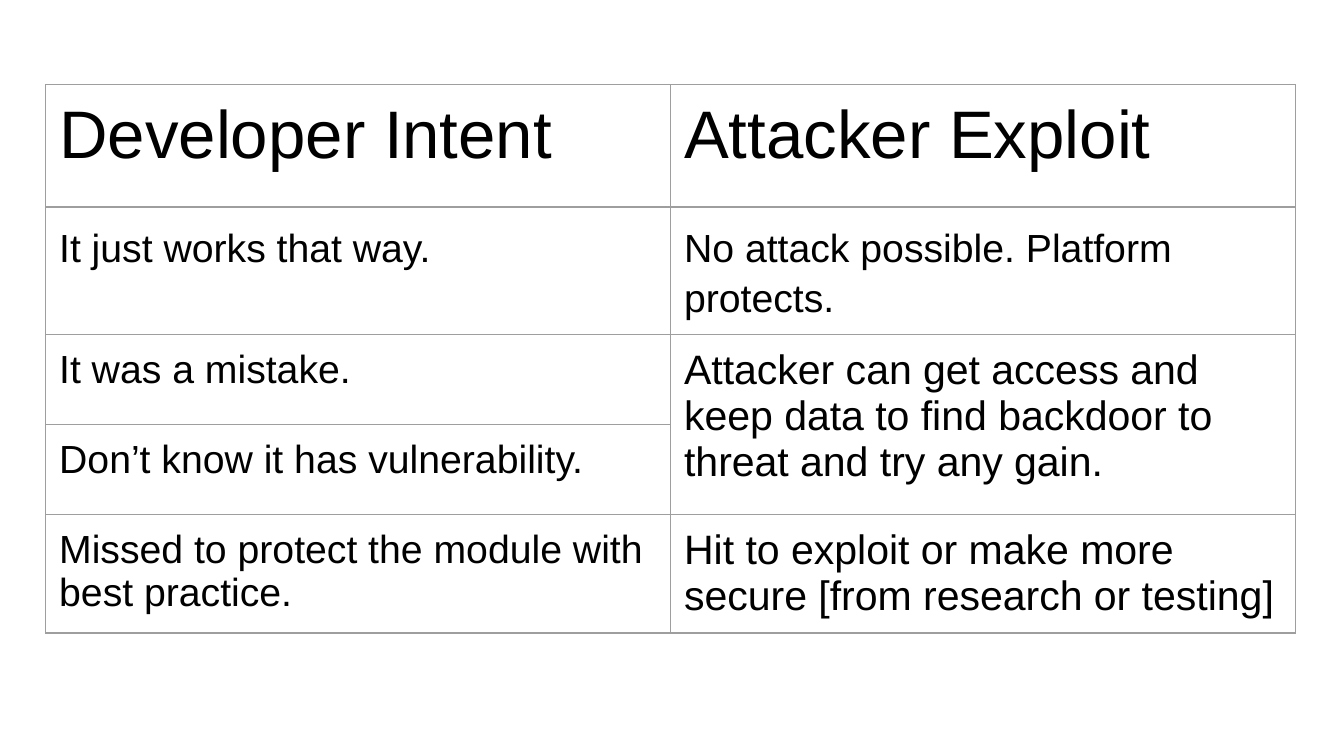
from dataclasses import dataclass

from lxml.etree import SubElement
from pptx import Presentation
from pptx.dml.color import RGBColor as Color
from pptx.oxml.ns import qn
from pptx.util import Inches, Pt


@dataclass(frozen=True)
class Theme:
    font: str = "Arial"
    ink: str = "000000"
    rule: str = "9E9E9E"
    rule_width: float = 0.75
    heading: int = 36
    body: int = 21
    answer: int = 22
    padding: float = 0.1


class PageBuilder:
    def __init__(self, deck, theme):
        self.theme = theme
        self.page = deck.slides.add_slide(deck.slide_layouts[6])

    def table(self, left, top, widths, heights):
        frame = self.page.shapes.add_table(
            len(heights), len(widths), Inches(left), Inches(top),
            Inches(sum(widths)), Inches(sum(heights)))
        table = frame.table
        table.first_row = table.horz_banding = False
        for column, width in zip(table.columns, widths):
            column.width = Inches(width)
        for row, height in zip(table.rows, heights):
            row.height = Inches(height)
        for cell in table.iter_cells():
            self.borders(cell)
            cell.fill.background()
        return table

    def borders(self, cell):
        properties = cell._tc.get_or_add_tcPr()
        for side in ("a:lnL", "a:lnR", "a:lnT", "a:lnB"):
            line = SubElement(properties, qn(side), w=str(Pt(self.theme.rule_width)))
            fill = SubElement(line, qn("a:solidFill"))
            SubElement(fill, qn("a:srgbClr"), val=self.theme.rule)

    def cell_text(self, cell, text, size, para_format):
        for side in ("left", "right", "top", "bottom"):
            setattr(cell, f"margin_{side}", Inches(self.theme.padding))
        para = cell.text_frame.paragraphs[0]
        for name, value in para_format.items():
            setattr(para, name, value)
        span = para.add_run()
        span.text = text
        for name, value in {"name": self.theme.font, "size": Pt(size)}.items():
            setattr(span.font, name, value)
        span.font.color.rgb = Color.from_string(self.theme.ink)


def main():
    # Widescreen page, 16 to 9
    deck = Presentation()
    deck.slide_width, deck.slide_height = Inches(10), Inches(10 * 9 / 16)
    theme = Theme()
    builder = PageBuilder(deck, theme)

    # Each row: height, text sizes of both columns, paragraph format, texts
    heading = (theme.heading, theme.heading)
    opening = (theme.body, theme.body)
    paired = (theme.body, theme.answer)
    spaced = {"line_spacing": 1.15, "space_after": Pt(12)}
    rows = [
        (0.91, heading, {}, ("Developer Intent", "Attacker Exploit")),
        (0.34, opening, spaced, ("It just works that way.",
                                 "No attack possible. Platform protects.")),
        (0.67, paired, {}, ("It was a mistake.",
                            "Attacker can get access and keep data to find "
                            "backdoor to threat and try any gain.")),
        (0.67, paired, {}, ("Don’t know it has vulnerability.",)),
        (0.67, paired, {}, ("Missed to protect the module with best practice.",
                            "Hit to exploit or make more secure "
                            "[from research or testing]")),
    ]

    # Table grid, with one answer shared by two intents
    table = builder.table(0.34, 0.63, [4.65, 4.65], [row[0] for row in rows])
    table.cell(2, 1).merge(table.cell(3, 1))

    # Cell contents
    for index, (_, sizes, para_format, texts) in enumerate(rows):
        for column, (text, size) in enumerate(zip(texts, sizes)):
            builder.cell_text(table.cell(index, column), text, size, para_format)

    deck.save("out.pptx")


if __name__ == "__main__":
    main()
